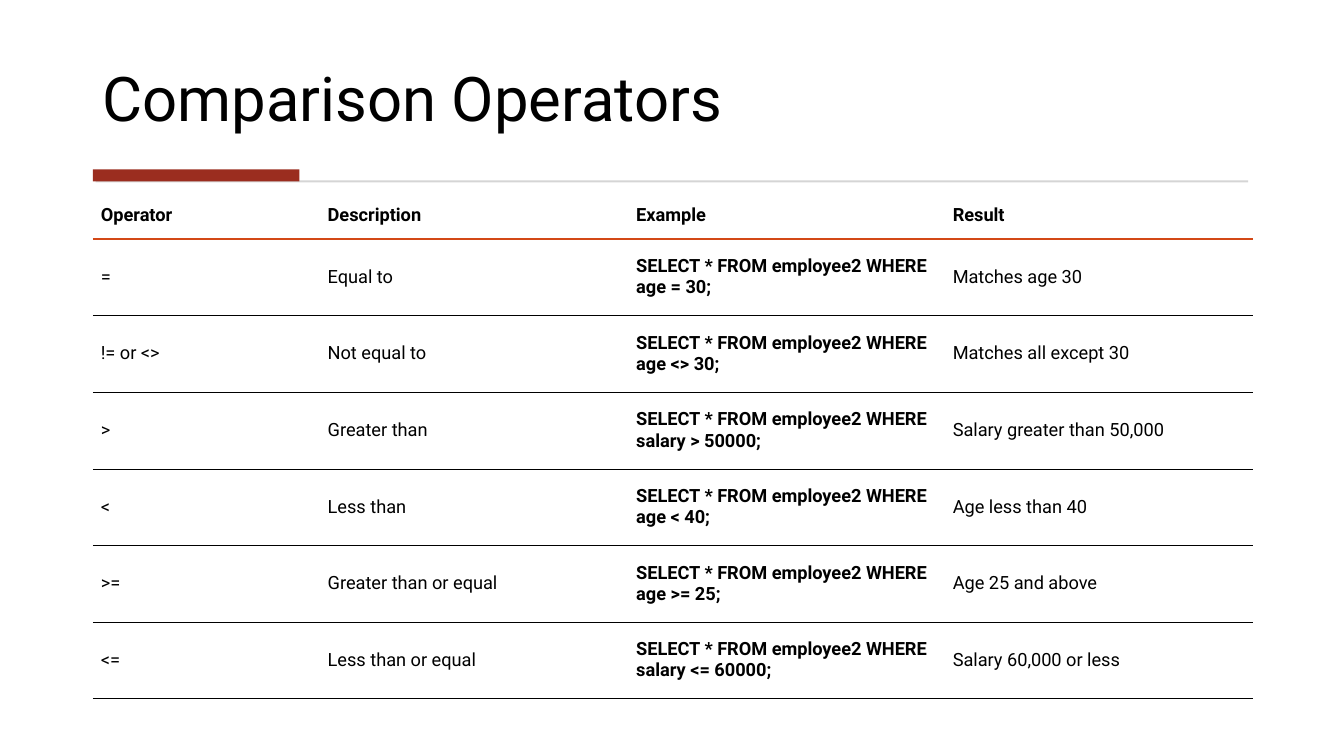
from pptx import Presentation
from pptx.dml.color import RGBColor
from pptx.enum.shapes import MSO_SHAPE
from pptx.enum.text import MSO_ANCHOR
from pptx.oxml import parse_xml
from pptx.oxml.ns import nsdecls
from pptx.util import Inches, Pt

BLACK = RGBColor(0x00, 0x00, 0x00)
ORANGE = RGBColor(0xD3, 0x48, 0x17)
RED = RGBColor(0x9B, 0x2D, 0x1F)
GREY = RGBColor(0xD5, 0xD5, 0xD5)
FONT = "Roboto"

QUERY = "SELECT * FROM employee2 WHERE "
ROWS = [
    ("Operator", "Description", "Example", "Result"),
    ("=", "Equal to", QUERY + "age = 30;", "Matches age 30"),
    ("!= or <>", "Not equal to", QUERY + "age <> 30;", "Matches all except 30"),
    (">", "Greater than", QUERY + "salary > 50000;", "Salary greater than 50,000"),
    ("<", "Less than", QUERY + "age < 40;", "Age less than 40"),
    (">=", "Greater than or equal", QUERY + "age >= 25;", "Age 25 and above"),
    ("<=", "Less than or equal", QUERY + "salary <= 60000;", "Salary 60,000 or less"),
]
COLUMN_WIDTHS = [2.25, 3.06, 3.14, 3.06]
HEADER_HEIGHT = 0.46
ROW_HEIGHT = 0.76
EXAMPLE_COLUMN = 2


def style_run(run, size, bold):
    run.font.name = FONT
    run.font.size = Pt(size)
    run.font.bold = bold
    run.font.color.rgb = BLACK


def set_borders(cell, top, bottom):
    sides = [("lnL", None), ("lnR", None), ("lnT", top), ("lnB", bottom)]
    for position, (tag, line) in enumerate(sides):
        if line:
            color, width = line
            fill = f'<a:solidFill><a:srgbClr val="{color}"/></a:solidFill>'
        else:
            width, fill = 0, "<a:noFill/>"
        border = parse_xml(f'<a:{tag} {nsdecls("a")} w="{Pt(width)}">{fill}</a:{tag}>')
        cell._tc.get_or_add_tcPr().insert(position, border)


presentation = Presentation()
presentation.slide_width = Inches(13.33)
presentation.slide_height = Inches(7.5)
slide = presentation.slides.add_slide(presentation.slide_layouts[6])

title = slide.shapes.add_textbox(Inches(0.92), Inches(0.28), Inches(11.49), Inches(1.11))
title_frame = title.text_frame
title_frame.word_wrap = True
title_frame.vertical_anchor = MSO_ANCHOR.BOTTOM
title_frame.text = "Comparison Operators"
title_frame.paragraphs[0].line_spacing = 0.9
style_run(title_frame.paragraphs[0].runs[0], 44, False)

for left, top, width, height, color in [
    (0.95, 1.79, 11.43, 0.02, GREY),
    (0.92, 1.68, 2.05, 0.12, RED),
]:
    bar = slide.shapes.add_shape(
        MSO_SHAPE.RECTANGLE, Inches(left), Inches(top), Inches(width), Inches(height)
    )
    bar.shadow.inherit = False
    bar.fill.solid()
    bar.fill.fore_color.rgb = color
    bar.line.fill.background()

table_height = HEADER_HEIGHT + ROW_HEIGHT * (len(ROWS) - 1)
table = slide.shapes.add_table(
    len(ROWS), len(COLUMN_WIDTHS),
    Inches(0.92), Inches(1.91), Inches(sum(COLUMN_WIDTHS)), Inches(table_height),
).table
table.horz_banding = False
for column, width in zip(table.columns, COLUMN_WIDTHS):
    column.width = Inches(width)

header_line = (ORANGE, 1.5)
row_line = (BLACK, 0.25)
for row_index, texts in enumerate(ROWS):
    is_header = row_index == 0
    table.rows[row_index].height = Inches(HEADER_HEIGHT if is_header else ROW_HEIGHT)
    top_line = None if is_header else header_line if row_index == 1 else row_line
    bottom_line = header_line if is_header else row_line
    for column_index, text in enumerate(texts):
        cell = table.cell(row_index, column_index)
        cell.text_frame.text = text
        cell.vertical_anchor = MSO_ANCHOR.MIDDLE
        cell.margin_left = cell.margin_right = Inches(0.08)
        cell.margin_top = cell.margin_bottom = Inches(0.04)
        cell.fill.background()
        set_borders(cell, top_line, bottom_line)
        bold = is_header or column_index == EXAMPLE_COLUMN
        style_run(cell.text_frame.paragraphs[0].runs[0], 13, bold)

presentation.save("out.pptx")
